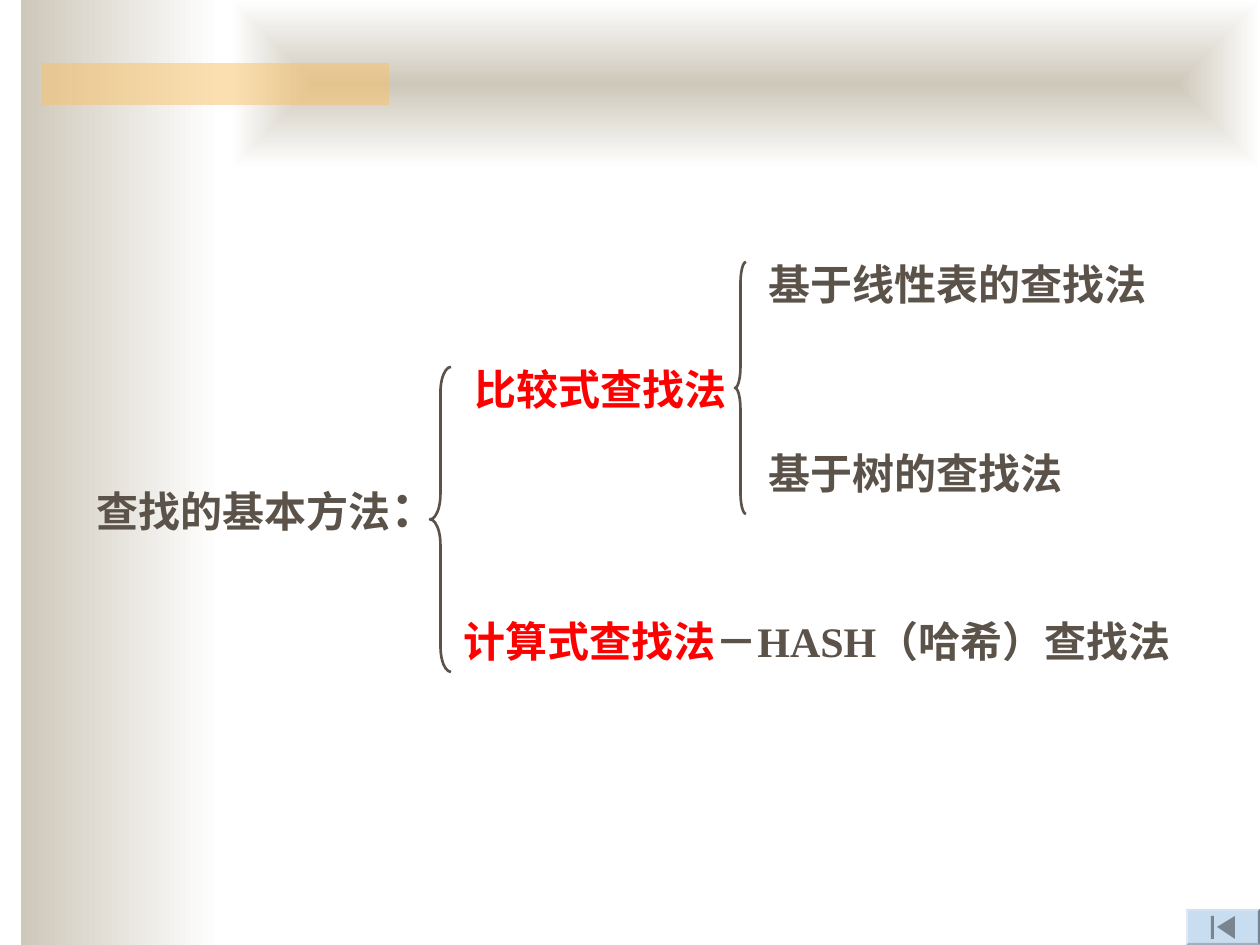
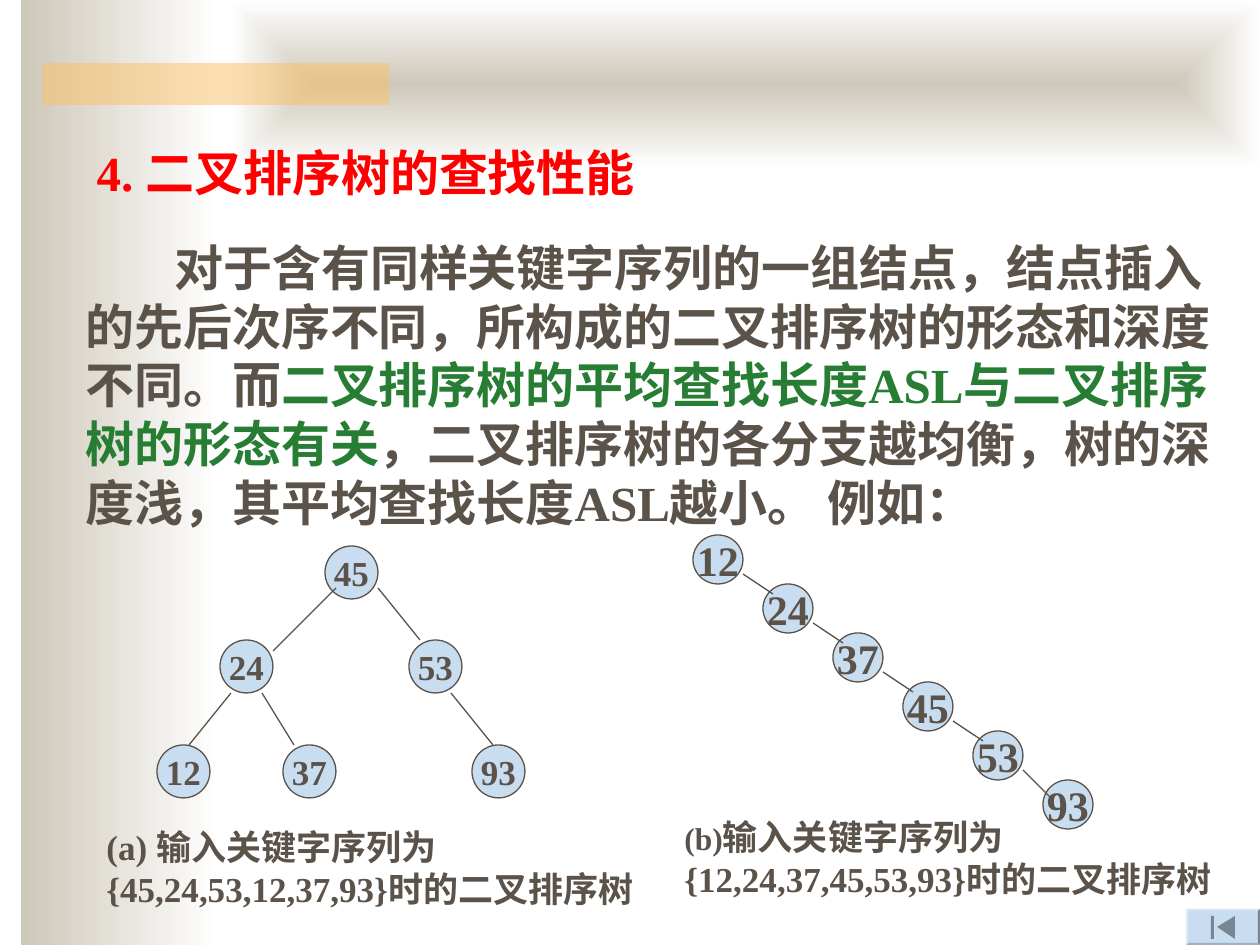
from dataclasses import dataclass

from lxml.etree import SubElement
from pptx import Presentation
from pptx.dml.color import RGBColor as Rgb
from pptx.enum.shapes import MSO_CONNECTOR as Connector, MSO_SHAPE as Preset
from pptx.enum.text import MSO_ANCHOR as Anchor, MSO_AUTO_SIZE as AutoSize, PP_ALIGN as Align
from pptx.oxml.ns import qn
from pptx.util import Emu, Pt

PX_PER_INCH = 126


@dataclass(frozen=True)
class Theme:
    """Colours, fonts and type sizes of the deck."""
    ink: str = "5B5249"
    red: str = "FF0000"
    green: str = "277D33"
    sky: str = "C9DDF1"
    icon: str = "798591"
    sand: str = "CEC8BA"
    amber: str = "FAC164"
    white: str = "FFFFFF"
    latin: str = "Times New Roman"
    asian: str = "Noto Sans CJK SC"
    large: int = 28
    medium: int = 24
    small: int = 20
    tiny: int = 18


THEME = Theme()


def px(length):
    """Turn px into EMU."""
    return Emu(round(length * 914400 / PX_PER_INCH))


def place(shape, box):
    """Move a shape to left, top, width, height in px."""
    shape.left, shape.top, shape.width, shape.height = map(px, box)


def write(shape, *spans, size=THEME.medium, colour=THEME.ink, align=Align.LEFT,
          anchor=Anchor.TOP, wrap=True, indent=0):
    """Fill a shape with one bold paragraph of (text, size, colour) spans or plain strings."""
    frame = shape.text_frame
    frame.word_wrap = wrap
    frame.auto_size = AutoSize.NONE
    frame.vertical_anchor = anchor
    para = frame.paragraphs[0]
    para.alignment = align
    para.space_before = Pt(0)
    if indent:
        para._p.get_or_add_pPr().set("indent", str(px(indent)))
    for item in spans:
        text, span_size, span_colour = (item, size, colour) if isinstance(item, str) else item
        span = para.add_run()
        span.text = text
        span.font.name = THEME.latin
        span.font.size = Pt(span_size)
        span.font.bold = True
        span.font.color.rgb = Rgb.from_string(span_colour)
        SubElement(span.font._element, qn("a:ea"), typeface=THEME.asian)


def add_text(page, box, *spans, **style):
    """Add a text box."""
    write(page.shapes.add_textbox(*map(px, box)), *spans, **style)


def finish(shape, fill=None, line=None, weight=0.75):
    """Set plain fill and outline without shadow."""
    shape.shadow.inherit = False
    if fill:
        shape.fill.solid()
        shape.fill.fore_color.rgb = Rgb.from_string(fill)
    else:
        shape.fill.background()
    if line:
        shape.line.color.rgb = Rgb.from_string(line)
        shape.line.width = Pt(weight)
    else:
        shape.line.fill.background()
    return shape


def add_preset(page, preset, box, **style):
    """Add a preset shape."""
    return finish(page.shapes.add_shape(preset, *map(px, box)), **style)


def add_gradient(page, box, from_centre=False):
    """Add a rectangle that fades from sand to white."""
    band = add_preset(page, Preset.RECTANGLE, box)
    band.fill.gradient()
    for stop, colour in zip(band.fill.gradient_stops, (THEME.sand, THEME.white)):
        stop.color.rgb = Rgb.from_string(colour)
    band.fill.gradient_angle = 0
    if from_centre:
        gradient = band._element.spPr.find(qn("a:gradFill"))
        gradient.remove(gradient.find(qn("a:lin")))
        centre = SubElement(gradient, qn("a:path"), path="rect")
        SubElement(centre, qn("a:fillToRect"), {side: "50000" for side in "ltrb"})
    return band


def add_start_button(page):
    """Add the bevelled button with its bar and triangle."""
    button = add_preset(page, Preset.BEVEL, (1186, 909, 74, 36), fill=THEME.sky)
    button.adjustments[0] = 0.06
    bar = add_preset(page, Preset.RECTANGLE, (1211, 916, 3, 23), fill=THEME.icon)
    builder = page.shapes.build_freeform(px(1217), px(927))
    builder.add_line_segments([(px(1235), px(916)), (px(1235), px(939))])
    return [button, bar, finish(builder.convert_to_shape(), fill=THEME.icon)]


def decorate_master(deck, page):
    """Draw the bands and button, then hand them to the master."""
    side = add_gradient(page, (21, 0, 199, 945))
    top = add_gradient(page, (231, 0, 1029, 168), from_centre=True)
    accent = add_preset(page, Preset.RECTANGLE, (42, 63, 347, 42), fill=THEME.amber)
    colour = accent._element.spPr.find(f".//{qn('a:srgbClr')}")
    SubElement(colour, qn("a:alpha"), val="50000")
    for number, shape in enumerate([side, top, accent, *add_start_button(page)], 101):
        shape._element.nvSpPr.cNvPr.set("id", str(number))
        deck.slide_master.shapes._spTree.append(shape._element)


def add_brace(page, box):
    """Add a left brace whose curves take a twelfth of its height."""
    brace = add_preset(page, Preset.LEFT_BRACE, box, line=THEME.ink, weight=1.5)
    brace.adjustments[0] = box[3] / box[2] / 12


def add_node(page, box, key, size):
    """Add a tree node."""
    node = add_preset(page, Preset.OVAL, box, fill=THEME.sky, line=THEME.ink)
    write(node, key, size=size, align=Align.CENTER, anchor=Anchor.MIDDLE, wrap=False)


def add_edge(page, *ends):
    """Add a thin line between two tree nodes."""
    edge = page.shapes.add_connector(Connector.STRAIGHT, *map(px, ends))
    edge.line.color.rgb = Rgb.from_string(THEME.ink)
    edge.line.width = Pt(0.75)
    SubElement(edge._element.spPr, qn("a:effectLst"))


def add_balanced_tree(page):
    """Draw the balanced tree with its caption."""
    nodes = {"45": (325, 546), "24": (220, 640), "12": (157, 745),
             "37": (283, 745), "53": (409, 640), "93": (472, 745)}
    edges = [(336, 588, 273, 651), (231, 693, 189, 745), (262, 693, 294, 745),
             (378, 588, 420, 640), (451, 693, 493, 745)]
    for key, corner in nodes.items():
        add_node(page, (*corner, 53, 53), key, THEME.small)
    for edge in edges:
        add_edge(page, *edge)
    add_text(page, (94, 819, 567, 97),
             "(a) 输入关键字序列为{45,24,53,12,37,93}时的二叉排序树", size=THEME.small)


def add_chain_tree(page):
    """Draw the one-sided tree with its caption."""
    keys = ["12", "24", "37", "45", "53", "93"]
    corners = [(693 + 70 * step, 535 + 49 * step) for step in range(len(keys))]
    for key, corner in zip(keys, corners):
        add_node(page, (*corner, 50, 49), key, THEME.medium)
    for left, top in corners[:-1]:
        drop = 69 if (left, top) == corners[-2] else 59
        add_edge(page, left + 50, top + 39, left + 80, top + drop)
    add_text(page, (672, 809, 557, 139), ("(b)", THEME.tiny, THEME.ink),
             "输入关键字序列为{12,24,37,45,53,93}时的二叉排序树", size=THEME.small)


def fill_methods_page(page):
    """Show the classes of search methods."""
    add_text(page, (84, 472, 346, 72), "查找的基本方法", ("：", THEME.large, THEME.ink))
    add_brace(page, (430, 367, 21, 305))
    add_text(page, (462, 357, 304, 63), "比较式查找法", colour=THEME.red)
    add_text(page, (451, 609, 756, 63), ("计算式查找法", THEME.medium, THEME.red),
             "－HASH（哈希）查找法")
    add_brace(page, (735, 262, 11, 252))
    add_text(page, (756, 252, 441, 63), "基于线性表的查找法")
    add_text(page, (756, 441, 388, 63), "基于树的查找法")


def fill_performance_page(page):
    """Compare two search trees built from the same keys."""
    title = page.shapes.title
    place(title, (84, 136, 1134, 72))
    write(title, "4. 二叉排序树的查找性能", size=THEME.large, colour=THEME.red)
    add_text(page, (73, 231, 1155, 307),
             "对于含有同样关键字序列的一组结点，结点插入的先后次序不同，"
             "所构成的二叉排序树的形态和深度不同。而",
             ("二叉排序树的平均查找长度ASL与二叉排序树的形态有关", THEME.large, THEME.green),
             "，二叉排序树的各分支越均衡，树的深度浅，其平均查找长度ASL越小。 例如：",
             size=THEME.large, indent=89)
    add_balanced_tree(page)
    add_chain_tree(page)


def main():
    """Build and save the deck."""
    deck = Presentation()
    deck.slide_width, deck.slide_height = px(1260), px(945)
    title_only, blank = deck.slide_layouts[5], deck.slide_layouts[6]
    methods = deck.slides.add_slide(blank)
    decorate_master(deck, methods)
    fill_methods_page(methods)
    fill_performance_page(deck.slides.add_slide(title_only))
    deck.save("out.pptx")


if __name__ == "__main__":
    main()
